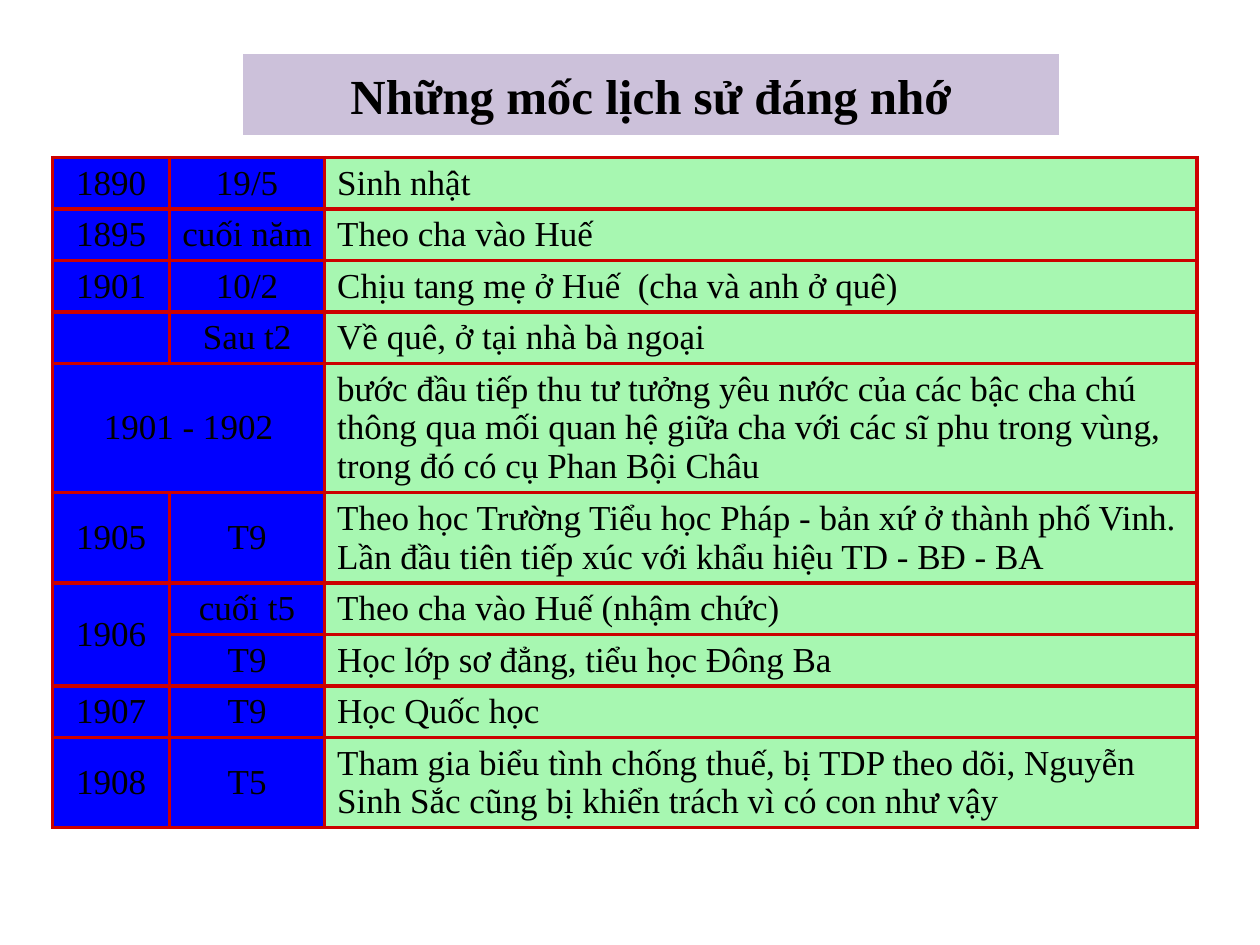
from lxml import etree
from pptx import Presentation
from pptx.dml.color import RGBColor
from pptx.enum import text
from pptx.oxml import ns
from pptx.util import Pt

COLORS = {"ink": "000000", "title": "CCC1DA", "outline": "FFFFFF",
          "date": "0000FF", "event": "A7F7B1", "border": "CC0000"}
FONT = "Times New Roman"
COLUMN_WIDTHS = [67, 88.5, 498.5]
TEXT_SIZE = 20
LINE_HEIGHT, CELL_PADDING = 22.1, 7.3

# Year, date, event, number of text lines
MILESTONES = [
    ("1890", "19/5", "Sinh nhật", 1),
    ("1895", "cuối năm", "Theo cha vào Huế", 1),
    ("1901", "10/2", "Chịu tang mẹ ở Huế  (cha và anh ở quê)", 1),
    ("", "Sau t2", "Về quê, ở tại nhà bà ngoại", 1),
    ("1901 - 1902", "", "bước đầu tiếp thu tư tưởng yêu nước của các bậc cha chú "
     "thông qua mối quan hệ giữa cha với các sĩ phu trong vùng, "
     "trong đó có cụ Phan Bội Châu", 3),
    ("1905", "T9", "Theo học Trường Tiểu học Pháp - bản xứ ở thành phố Vinh. "
     "Lần đầu tiên tiếp xúc với khẩu hiệu TD - BĐ - BA", 2),
    ("1906", "cuối t5", "Theo cha vào Huế (nhậm chức)", 1),
    ("", "T9", "Học lớp sơ đẳng, tiểu học Đông Ba", 1),
    ("1907", "T9", "Học Quốc học", 1),
    ("1908", "T5", "Tham gia biểu tình chống thuế, bị TDP theo dõi, Nguyễn "
     "Sinh Sắc cũng bị khiển trách vì có con như vậy", 2),
]
MERGES = [((4, 0), (4, 1)), ((6, 0), (7, 0))]


class SlideBuilder:
    def __init__(self, deck):
        self.page = deck.slides.add_slide(deck.slide_layouts[5])

    def color(self, name):
        return RGBColor.from_string(COLORS[name])

    def paint(self, item, name):
        item.fill.solid()
        item.fill.fore_color.rgb = self.color(name)

    def set_text(self, para, words, size, align, bold=False):
        para.text = words
        para.alignment = align
        para.font.name = FONT
        para.font.size = Pt(size)
        para.font.bold = bold
        para.font.color.rgb = self.color("ink")

    def title(self, words, left, top, width, height):
        box = self.page.shapes.title
        box.left, box.top, box.width, box.height = map(Pt, (left, top, width, height))
        self.paint(box, "title")
        box.line.color.rgb = self.color("outline")
        box.line.width = Pt(2)
        frame = box.text_frame
        frame.auto_size = text.MSO_AUTO_SIZE.NONE
        frame.vertical_anchor = text.MSO_ANCHOR.MIDDLE
        self.set_text(frame.paragraphs[0], words, 28, text.PP_ALIGN.CENTER, bold=True)

    def borders(self, cell):
        properties = cell._tc.get_or_add_tcPr()
        for side in ("lnL", "lnR", "lnT", "lnB"):
            line = etree.SubElement(properties, ns.qn(f"a:{side}"), w=str(Pt(2.25)))
            fill = etree.SubElement(line, ns.qn("a:solidFill"))
            etree.SubElement(fill, ns.qn("a:srgbClr"), val=COLORS["border"])

    def table(self, milestones, left, top):
        heights = [LINE_HEIGHT * row[-1] + CELL_PADDING for row in milestones]
        grid = self.page.shapes.add_table(
            len(milestones), len(COLUMN_WIDTHS), Pt(left), Pt(top),
            Pt(sum(COLUMN_WIDTHS)), Pt(sum(heights))).table
        grid.first_row = grid.horz_banding = False
        for column, width in zip(grid.columns, COLUMN_WIDTHS):
            column.width = Pt(width)
        for r, (*values, _) in enumerate(milestones):
            grid.rows[r].height = Pt(heights[r])
            for c, words in enumerate(values):
                cell = grid.cell(r, c)
                is_event = c == len(values) - 1
                self.borders(cell)
                self.paint(cell, "event" if is_event else "date")
                cell.vertical_anchor = text.MSO_ANCHOR.MIDDLE
                align = text.PP_ALIGN.LEFT if is_event else text.PP_ALIGN.CENTER
                self.set_text(cell.text_frame.paragraphs[0], words, TEXT_SIZE, align)
        for first, last in MERGES:
            grid.cell(*first).merge(grid.cell(*last))


def main():
    deck = Presentation()
    deck.slide_width, deck.slide_height = Pt(720), Pt(540)
    slide = SlideBuilder(deck)

    # Heading band
    slide.title("Những mốc lịch sử đáng nhớ", 138, 30, 468, 48)

    # Timeline table
    slide.table(MILESTONES, 30, 90)

    deck.save("out.pptx")


if __name__ == "__main__":
    main()
